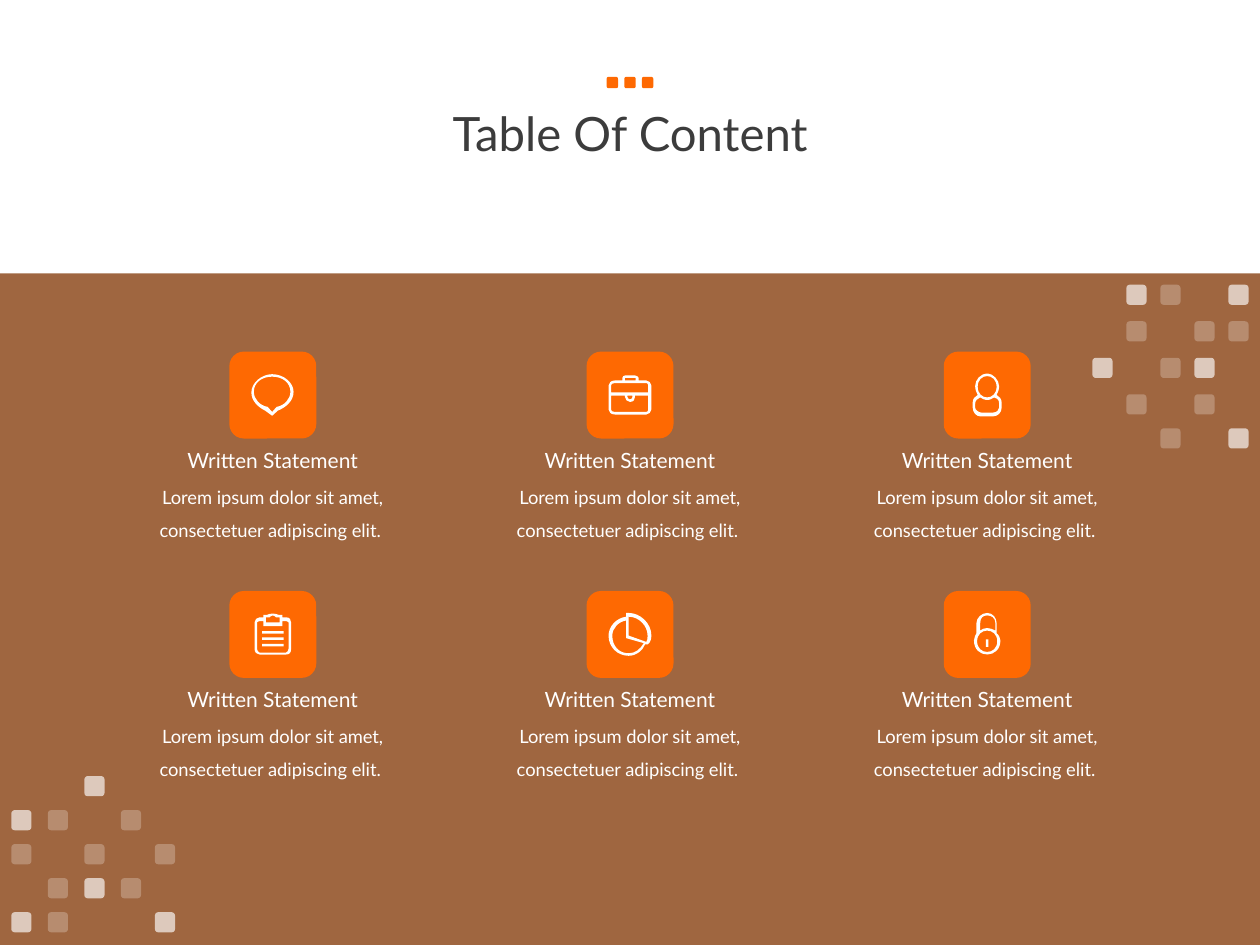
import pptx
import pptx.dml.color
import pptx.enum.shapes
import pptx.enum.text
import pptx.oxml.ns
import pptx.util
from lxml import etree

Inches = pptx.util.Inches
qn = pptx.oxml.ns.qn
SHAPES = pptx.enum.shapes.MSO_SHAPE
WHITE = pptx.dml.color.RGBColor(0xFF, 0xFF, 0xFF)
CHARCOAL = pptx.dml.color.RGBColor(0x3C, 0x3C, 0x3C)
BROWN = pptx.dml.color.RGBColor(0x7F, 0x34, 0x01)
ORANGE = pptx.dml.color.RGBColor(0xFE, 0x69, 0x02)
FONT = "Lato"
TILE = 0.69
TOPIC_WIDTH = 2.5

BUBBLE = (34, 33, """
    M 16.5 0 C 8 0 0 7 0 14.5 C 0 21 5 26 11 29 L 16.5 33 L 21 29
    C 28 26 33.5 21 33.5 14 C 33.5 7 26 0 16.5 0
    M 20 26 L 16.5 30 L 13 26 C 7 25 2 20 2 14 C 2 7 8 2 16.5 2
    C 25 2 31 7 31 14 C 31 20 26 25 20 26""")
BRIEFCASE = (34, 31, """
    M 30 4 L 24 4 L 24 2 C 24 1 22 0 21 0 L 13 0 C 12 0 11 1 11 2 L 11 4 L 5 4
    C 2 4 0 6 0 8 L 0 27 C 0 29 2 31 5 31 L 30 31 C 32 31 34 29 34 27 L 34 8
    C 34 6 32 4 30 4
    M 13 4 L 13 2 L 21.5 2 L 21.5 4
    M 31.5 27 C 31.5 28 31 29 30 29 L 5 29 C 3 29 2 28 2 27 L 2 16 L 13 16 L 13 17
    C 13 19 15 21 17 21 C 20 21 21 19 21 17 L 21 16 L 31.5 16
    M 15 16 L 19 16 L 19 17 C 19 18 18 19 17 19 C 16 19 15 18 15 17
    M 31.5 13.5 L 2 13.5 L 2 8 C 2 7 3 6 5 6 L 30 6 C 31 6 31.5 7 31.5 8""")
PERSON = (23, 34, """
    M 19 17 C 20 15 21 13 21 10 C 21 5 16 0 12 0 C 6 0 2 5 2 10 C 2 13 3 15 4 17
    C 2 18 0 20 0 23 L 0 27 C 0 31 3 34 6 34 L 16 34 C 20 34 23 31 23 27 L 23 23
    C 23 20 21 18 19 17
    M 4 10.5 C 4 -0.8 19 -0.8 19 10.5 C 19 21.8 4 21.8 4 10.5
    M 21 27 C 21 29 19 31 16 31 L 7 31 C 5 31 2 29 2 27 L 2 24 C 2 21 4 20 6 19
    C 8 20 9 21 12 21 C 13 21 16 20 17 19 C 20 20 21 21 21 24""")
CLIPBOARD = (29, 33, """
    M 25 3 L 22 3 L 22 1 L 19 1 C 17 -0.3 12 -0.3 10 1 L 7 1 L 7 3 L 4 3
    C 2 3 0 5 0 7 L 0 28 C 0 31 2 32.5 4 32.5 L 25 32.5 C 28 32.5 29 31 29 28 L 29 7
    C 29 5 28 3 25 3
    M 9 3 L 12 3 C 12 3 13 1.5 14.5 1.5 C 16 1.5 17 3 17 3 L 20 3 L 20 7 L 9 7
    M 27 28 C 27 29 26 31 25 31 L 4 31 C 3 31 2 29 2 28 L 2 7 C 2 7 3 6 4 6 L 7 6
    L 7 10 L 22 10 L 22 6 L 25 6 C 26 6 27 7 27 7
    M 6 14 L 23 14 L 23 16 L 6 16
    M 6 19 L 23 19 L 23 21 L 6 21
    M 6 24 L 23 24 L 23 26 L 6 26""")
PIE = (34, 34, """
    M 16 0 L 14 0 L 14 3 C 6 4 0 11 0 18 C 0 27 7 34 16 34 C 22 34 27 30 29 25
    L 31 25 C 33 24 34 21 34 18 C 34 8 25 0 16 0
    M 16 32 C 8 32 3 26 3 18 C 3 12 8 7 14 6 L 14 20 L 28 24 C 25 29 21 32 16 32
    M 30 23 L 16 18 L 16 3 C 24 3 31 10 31 18 C 31 20 31 22 30 23""")
PADLOCK = (21, 34, """
    M 18 16 L 18 8 C 18 4 15 0 10.5 0 C 6 0 2 4 2 8 L 2 16 C 1 18 0 20 0 22
    C 0 29 5 33 10.5 33 C 16 33 21 29 21 22 C 21 20 20 18 18 16
    M 5 8 C 5 4 7 2 10.5 2 C 14 2 17 4 17 8 L 17 14 C 15 13 13 12 10.5 12
    C 8 12 6 13 5 14
    M 2.5 22.5 C 2.5 11.2 18.5 11.2 18.5 22.5 C 18.5 33.8 2.5 33.8 2.5 22.5
    M 9.5 21 L 11.5 21 L 11.5 27 L 9.5 27""")
ICON_ROWS = ((BUBBLE, BRIEFCASE, PERSON), (CLIPBOARD, PIE, PADLOCK))

WIDE_STEPS = (0, 0.29, 0.58, 0.87, 1.14)
NARROW_STEPS = (0, 0.27, 0.54, 0.81, 1.08)
LOWER_PATTERN = ("..#..", "#o.o.", "o.o.o", ".o#o.", "#o..#")
UPPER_PATTERN = (".#o.#", ".o.oo", "#.o#.", ".o.o.", "..o.#")
OPACITY = {"#": 65, "o": 25}


def paint(shape, color, opacity=100):
    shape.shadow.inherit = False
    shape.fill.solid()
    shape.fill.fore_color.rgb = color
    shape.line.fill.background()
    if opacity < 100:
        tint = shape.fill._xPr.find(".//" + qn("a:srgbClr"))
        etree.SubElement(tint, qn("a:alpha"), val=str(opacity * 1000))


def add_block(shapes, kind, left, top, width, height, color, opacity=100):
    block = shapes.add_shape(kind, Inches(left), Inches(top), Inches(width), Inches(height))
    paint(block, color, opacity)


def write_text(box, text, size, color, spacing=1.0):
    frame = box.text_frame
    frame.word_wrap = True
    frame.vertical_anchor = pptx.enum.text.MSO_ANCHOR.MIDDLE
    para = frame.paragraphs[0]
    para.alignment = pptx.enum.text.PP_ALIGN.CENTER
    para.line_spacing = spacing
    span = para.add_run()
    span.text = text
    span.font.name = FONT
    span.font.size = pptx.util.Pt(size)
    span.font.color.rgb = color


def add_label(page, left, top, width, height, text, **text_format):
    box = page.shapes.add_textbox(Inches(left), Inches(top), Inches(width), Inches(height))
    write_text(box, text, **text_format)
    box.text_frame.auto_size = pptx.enum.text.MSO_AUTO_SIZE.SHAPE_TO_FIT_TEXT


def read_outline(outline, left, top):
    tokens = iter(outline.split())
    for command in tokens:
        yield command, [(Inches(left + float(next(tokens)) / 100),
                         Inches(top + float(next(tokens)) / 100))
                        for _ in range(3 if command == "C" else 1)]


def bend(line, shape, points):
    line.tag = qn("a:cubicBezTo")
    for position, (x, y) in enumerate(points[:-1]):
        handle = etree.Element(qn("a:pt"), x=str(x - shape.left), y=str(y - shape.top))
        line.insert(position, handle)


def add_icon(page, left, top, size, icon):
    width, height, outline = icon
    segments = list(read_outline(outline, left + (size - width / 100) / 2,
                                 top + (size - height / 100) / 2))
    builder = page.shapes.build_freeform(*segments[0][1][0])
    for index, (command, points) in enumerate(segments[1:], 1):
        if command == "M":
            builder.move_to(*points[0])
        else:
            is_last = index + 1 == len(segments) or segments[index + 1][0] == "M"
            builder.add_line_segments(points[-1:], close=is_last)
    shape = builder.convert_to_shape()
    paint(shape, WHITE)
    lines = list(shape._element.iter(qn("a:lnTo")))
    drawn = [segment for segment in segments if segment[0] != "M"]
    for line, (command, points) in zip(lines, drawn):
        if command == "C":
            curve = etree.SubElement(line.getparent(), qn("a:cubicBezTo"))
            line.getparent().replace(line, curve)
            for x, y in points:
                etree.SubElement(curve, qn("a:pt"), x=str(x - shape.left), y=str(y - shape.top))


def add_topic(page, left, top, width, icon):
    tile_left = left + (width - TILE) / 2
    add_block(page.shapes, SHAPES.ROUNDED_RECTANGLE, tile_left, top, TILE, TILE, ORANGE)
    add_icon(page, tile_left, top, TILE, icon)
    add_label(page, left, top + 0.94, width, 0.6,
              "Lorem ipsum dolor sit amet, consectetuer adipiscing elit. ",
              size=10.5, color=WHITE, spacing=1.5)
    add_label(page, left, top + 0.71, width, 0.3, "Written Statement", size=12, color=WHITE)


def add_topics(page, left, top, width, row_step):
    column_step = (width - TOPIC_WIDTH) / 2
    for row, icons in enumerate(ICON_ROWS):
        for column, icon in enumerate(icons):
            add_topic(page, left + column * column_step, top + row * row_step, TOPIC_WIDTH, icon)


def add_mosaic(page, left, top, pattern, column_steps, row_steps):
    group = page.shapes.add_group_shape()
    for line, down in zip(pattern, row_steps):
        for mark, across in zip(line, column_steps):
            if mark in OPACITY:
                add_block(group.shapes, SHAPES.ROUNDED_RECTANGLE, left + across, top + down,
                          0.16, 0.16, WHITE, OPACITY[mark])


def add_header(page, left, top, width, height):
    title = page.shapes.title
    title.left, title.top = Inches(left), Inches(top)
    title.width, title.height = Inches(width), Inches(height)
    write_text(title, "Table Of Content", size=27, color=CHARCOAL, spacing=0.9)
    dots = page.shapes.add_group_shape()
    for offset in (-0.14, 0, 0.14):
        add_block(dots.shapes, SHAPES.ROUNDED_RECTANGLE, left + width / 2 - 0.045 + offset,
                  top + 0.25, 0.09, 0.09, ORANGE)


def main():
    deck = pptx.Presentation()
    deck.slide_width, deck.slide_height = Inches(10), Inches(7.5)
    page = deck.slides.add_slide(deck.slide_layouts[5])
    add_header(page, 0.69, 0.36, 8.62, 1.45)
    add_block(page.shapes, SHAPES.RECTANGLE, 0, 2.17, 10, 5.33, BROWN, 75)
    add_topics(page, (10 - 8.17) / 2, 2.79, 8.17, 1.9)
    add_mosaic(page, 0.09, 6.16, LOWER_PATTERN, WIDE_STEPS, NARROW_STEPS)
    add_mosaic(page, 8.67, 2.26, UPPER_PATTERN, NARROW_STEPS, WIDE_STEPS)
    deck.save("out.pptx")


if __name__ == "__main__":
    main()
